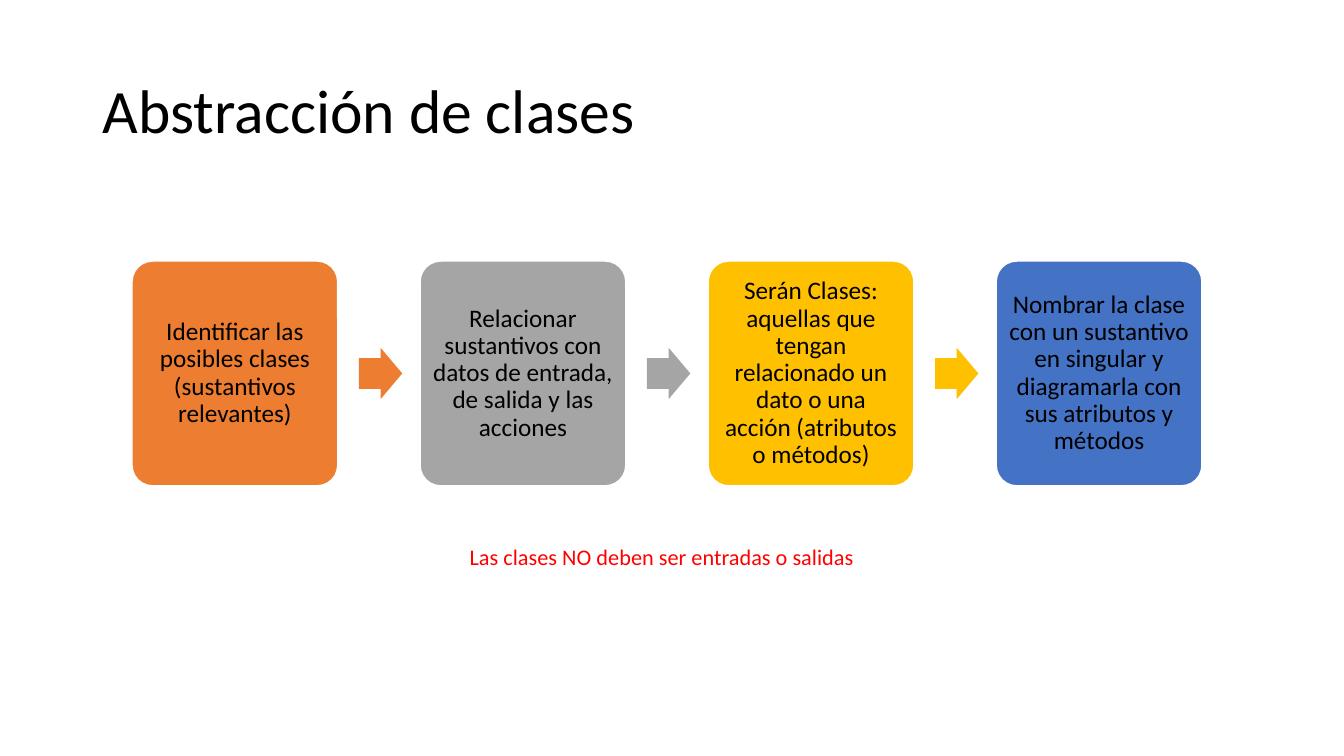
from pptx import Presentation
from pptx.dml.color import RGBColor as Rgb
from pptx.enum.shapes import MSO_SHAPE as Kind
from pptx.enum.text import MSO_ANCHOR as Anchor, PP_ALIGN as Align
from pptx.util import Inches, Pt

INK = {"black": "000000", "white": "FFFFFF", "red": "FF0000",
       "orange": "ED7D31", "gray": "A5A5A5", "gold": "FFC000", "blue": "4472C4"}
STEPS = [
    ("orange", "Identificar las posibles clases (sustantivos relevantes)"),
    ("gray", "Relacionar sustantivos con datos de entrada, de salida y las acciones"),
    ("gold", "Serán Clases: aquellas que tengan relacionado un dato o una acción "
             "(atributos o métodos)"),
    ("blue", "Nombrar la clase con un sustantivo en singular y diagramarla con "
             "sus atributos y métodos"),
]
LEFT, PITCH = 1.31, 2.857


def write(frame, text, size, color="black", align=Align.LEFT, space=1.0):
    par = frame.paragraphs[0]
    par.alignment = align
    par.line_spacing = space
    run = par.add_run()
    run.text = text
    run.font.size = Pt(size)
    run.font.name = "Calibri"
    run.font.color.rgb = Rgb.from_string(INK[color])


def block(kind, left, top, width, height, color):
    """Add a flat filled shape without outline."""
    shape = slide.shapes.add_shape(
        kind, Inches(left), Inches(top), Inches(width), Inches(height))
    shape.shadow.inherit = False
    shape.fill.solid()
    shape.fill.fore_color.rgb = Rgb.from_string(INK[color])
    shape.line.fill.background()
    return shape


deck = Presentation()
deck.slide_width, deck.slide_height = Inches(13.33), Inches(7.5)
slide = deck.slides.add_slide(deck.slide_layouts[6])

title = slide.shapes.add_textbox(
    Inches(0.92), Inches(0.4), Inches(11.5), Inches(1.45)).text_frame
title.word_wrap = True
title.vertical_anchor = Anchor.MIDDLE
write(title, "Abstracción de clases", 44, space=0.9)

for i, (color, text) in enumerate(STEPS):
    left = LEFT + i * PITCH
    card = block(Kind.ROUNDED_RECTANGLE, left, 2.59, 2.04, 2.23, color)
    card.adjustments[0] = 0.1
    card.line.color.rgb = Rgb.from_string(INK["white"])
    card.line.width = Pt(1)
    frame = card.text_frame
    frame.word_wrap = True
    frame.vertical_anchor = Anchor.MIDDLE
    frame.margin_left = frame.margin_right = Inches(0.07)
    frame.margin_top = frame.margin_bottom = Inches(0.07)
    write(frame, text, 18, align=Align.CENTER, space=0.9)
    if i < len(STEPS) - 1:
        arrow = block(Kind.RIGHT_ARROW, left + 2.25, 3.45, 0.43, 0.51, color)
        arrow.adjustments[0] = 0.6
        arrow.adjustments[1] = 0.5

note = slide.shapes.add_textbox(
    Inches(4.56), Inches(5.34), Inches(4.04), Inches(0.64)).text_frame
note.word_wrap = False
write(note, "Las clases NO deben ser entradas o salidas", 15.9, "red")

deck.save("out.pptx")
